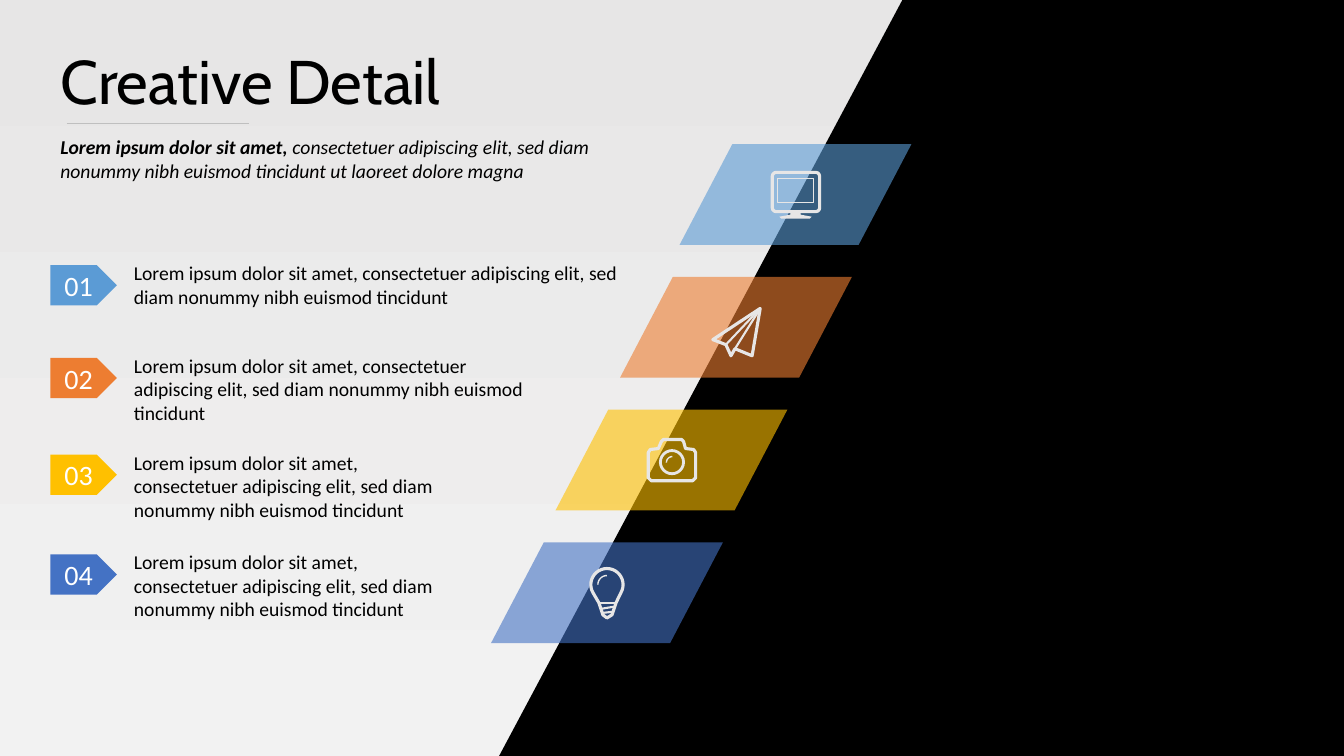
from math import cos, radians, sin

from lxml.etree import SubElement
from pptx import Presentation
from pptx.dml.color import RGBColor
from pptx.enum.shapes import MSO_CONNECTOR, MSO_SHAPE as Preset
from pptx.enum.text import MSO_ANCHOR as Anchor, MSO_AUTO_SIZE as AutoSize, PP_ALIGN as Align
from pptx.oxml.ns import qn
from pptx.util import Inches, Pt

BLACK, WHITE, ICON = "000000", "FFFFFF", "E7E6E6"
BODY = "Lorem ipsum dolor sit amet, consectetuer adipiscing elit, sed diam nonummy nibh euismod tincidunt"
ITEMS = [
    ("01", "5B9BD5", 2.63, 5.3, 0.57, 6.74),
    ("02", "ED7D31", 3.55, 4.08, 0.81, 6.15),
    ("03", "FFC000", 4.51, 3.47, 0.81, 5.51),
    ("04", "4472C4", 5.5, 3.27, 0.81, 4.87),
]
BAND_TOP, BAND_STEP = 1.43, 1.317


def rgb(color):
    """Turn a hex string into a colour."""
    return RGBColor.from_string(color)


def box(*lengths):
    """Convert lengths in inches."""
    return [Inches(length) for length in lengths]


def add_run(paragraph, text, size, color, font="Calibri", bold=None, italic=None):
    """Add one formatted run to a paragraph."""
    run = paragraph.add_run()
    run.text = text
    run.font.name, run.font.size = font, Pt(size)
    run.font.bold, run.font.italic = bold, italic
    run.font.color.rgb = rgb(color)


def add_text(slide, at, runs):
    """Add a wrapped text box with runs of (text, bold, italic)."""
    frame = slide.shapes.add_textbox(*box(*at)).text_frame
    frame.word_wrap = True
    for text, bold, italic in runs:
        add_run(frame.paragraphs[0], text, 14, BLACK, bold=bold, italic=italic)


def paint(shape, color, alpha=None):
    """Give a shape a plain fill without line or shadow."""
    shape.shadow.inherit = False
    shape.line.fill.background()
    shape.fill.solid()
    shape.fill.fore_color.rgb = rgb(color)
    if alpha:
        tint = shape.fill._xPr.find(".//" + qn("a:srgbClr"))
        SubElement(tint, qn("a:alpha")).set("val", str(alpha * 1000))


def stroke(shape, width):
    """Draw a shape as an icon outline with round joins."""
    shape.shadow.inherit = False
    shape.fill.background()
    shape.line.color.rgb = rgb(ICON)
    shape.line.width = Pt(width)
    SubElement(shape.line._get_or_add_ln(), qn("a:round"))


def add_outline(slide, points, close=True):
    """Build a freeform through points given in inches."""
    start, *rest = [box(*point) for point in points]
    builder = slide.shapes.build_freeform(*start)
    builder.add_line_segments(rest, close=close)
    return builder.convert_to_shape()


def arc(x, y, radius, start, end):
    """List points on an arc, with angles clockwise from the right."""
    return [(x + radius * cos(radians(a)), y + radius * sin(radians(a)))
            for a in range(start, end + 1, 10)]


def add_tag(slide, number, color, top):
    """Add a numbered pentagon."""
    tag = slide.shapes.add_shape(Preset.PENTAGON, *box(0.5, top, 0.66, 0.4))
    paint(tag, color)
    tag.text_frame.vertical_anchor = Anchor.MIDDLE
    paragraph = tag.text_frame.paragraphs[0]
    paragraph.alignment = Align.CENTER
    add_run(paragraph, number, 20, WHITE)


def add_band(slide, color, left, top):
    """Add a translucent slanted band."""
    band = slide.shapes.add_shape(Preset.PARALLELOGRAM, *box(left, top, 2.3, 1))
    band.adjustments[0] = 0.524
    paint(band, color, alpha=60)


def add_monitor(slide):
    """Draw the monitor icon."""
    case = slide.shapes.add_shape(Preset.ROUNDED_RECTANGLE, *box(7.66, 1.71, 0.47, 0.39))
    case.adjustments[0] = 0.1
    stroke(case, 2.25)
    stroke(slide.shapes.add_shape(Preset.RECTANGLE, *box(7.71, 1.77, 0.36, 0.24)), 1)
    stand = [(7.84, 2.1), (7.94, 2.1), (7.94, 2.13), (8.05, 2.15),
             (8.03, 2.17), (7.75, 2.17), (7.73, 2.15), (7.84, 2.13)]
    paint(add_outline(slide, stand), ICON)


def add_plane(slide):
    """Draw the paper plane icon."""
    tip, fold, keel = (7.54, 3.06), (7.2, 3.42), (7.29, 3.46)
    stroke(add_outline(slide, [tip, (7.07, 3.37), fold, (7.25, 3.53), keel, (7.46, 3.53)]), 2.25)
    for crease in (fold, keel):
        stroke(add_outline(slide, [crease, tip], close=False), 1.5)


def add_camera(slide):
    """Draw the camera icon."""
    body = [(6.43, 4.49), (6.45, 4.46), (6.53, 4.45), (6.56, 4.38), (6.58, 4.36),
            (6.76, 4.36), (6.78, 4.38), (6.8, 4.45), (6.88, 4.46), (6.9, 4.49),
            (6.9, 4.74), (6.87, 4.77), (6.46, 4.77), (6.43, 4.74)]
    stroke(add_outline(slide, body), 2.25)
    stroke(slide.shapes.add_shape(Preset.OVAL, *box(6.55, 4.47, 0.23, 0.23)), 2)
    stroke(add_outline(slide, arc(6.67, 4.59, 0.06, 180, 270), close=False), 1)


def add_bulb(slide):
    """Draw the light bulb icon."""
    base = [(6.11, 5.98), (6.07, 6.1), (6.02, 6.13), (5.98, 6.1), (5.94, 5.98)]
    stroke(add_outline(slide, arc(6.02, 5.8, 0.16, 150, 390) + base), 2.25)
    stroke(add_outline(slide, arc(6.02, 5.8, 0.09, 180, 270), close=False), 1)
    for left, right in [((5.94, 5.98), (6.11, 5.98)), ((5.96, 6.04), (6.08, 6.02)),
                        ((5.98, 6.08), (6.07, 6.07))]:
        stroke(add_outline(slide, [left, right], close=False), 1.5)


def add_heading(slide):
    """Format the title and add its rule and introduction."""
    title = slide.shapes.title
    title.left, title.top, title.width, title.height = box(0.5, 0.38, 4.29, 0.84)
    frame = title.text_frame
    frame.word_wrap, frame.auto_size = False, AutoSize.NONE
    frame.vertical_anchor = Anchor.TOP
    frame.paragraphs[0].alignment = Align.LEFT
    add_run(frame.paragraphs[0], "Creative Detail", 44, BLACK, "Cabin")
    rule = slide.shapes.add_connector(MSO_CONNECTOR.STRAIGHT, *box(0.66, 1.22, 2.47, 1.22))
    rule.line.color.rgb, rule.line.width = rgb("BFBFBF"), Pt(0.5)
    SubElement(rule._element.spPr, qn("a:effectLst"))
    add_text(slide, (0.5, 1.29, 6.28, 0.57), [
        ("Lorem ipsum dolor sit amet,", True, True),
        (" consectetuer adipiscing elit, sed diam nonummy nibh euismod tincidunt"
         " ut laoreet dolore magna", False, True)])


def add_backdrop(slide):
    """Set the grey gradient and the black slanted panel."""
    fill = slide.background.fill
    fill.gradient()
    fill.gradient_angle = 270
    for stop, color in zip(fill.gradient_stops, ("E7E6E6", "F2F2F2")):
        stop.color.rgb = rgb(color)
    paint(add_outline(slide, [(8.95, 0), (13.33, 0), (13.33, 7.5), (4.95, 7.5)]), BLACK)


def main():
    """Build and save the slide."""
    deck = Presentation()
    deck.slide_width, deck.slide_height = box(13.33, 7.5)
    slide = deck.slides.add_slide(deck.slide_layouts[5])
    add_backdrop(slide)
    add_heading(slide)
    icons = (add_monitor, add_plane, add_camera, add_bulb)
    for row, (number, color, top, width, height, band_left) in enumerate(ITEMS):
        add_tag(slide, number, color, top)
        add_text(slide, (1.23, top - 0.09, width, height), [(BODY, None, None)])
        add_band(slide, color, band_left, BAND_TOP + row * BAND_STEP)
        icons[row](slide)
    deck.save("out.pptx")


if __name__ == "__main__":
    main()
